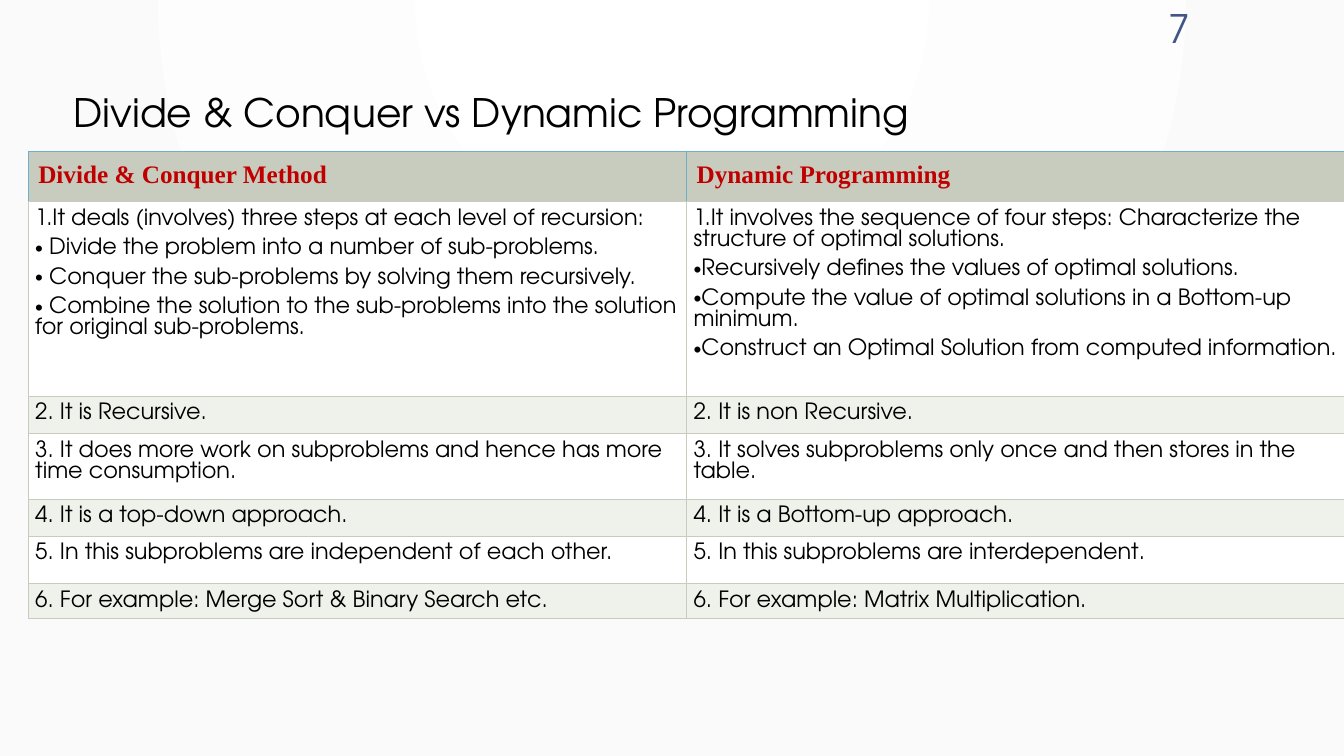
from lxml.etree import SubElement
from pptx import Presentation
from pptx.dml.color import RGBColor
from pptx.enum.text import MSO_ANCHOR as Anchor, PP_ALIGN as Align
from pptx.oxml.ns import qn
from pptx.util import Inches, Pt

COLORS = {
    "center": "FFFFFF", "edge": "FAFAFA", "text": "000000", "number": "415588",
    "heading": "C00000", "header": "C7CCBE", "header_line": "70AFC9",
    "line": "C7CCBE", "plain": "FFFFFF", "band": "EFF1EB",
}
BODY_FONT, HEADING_FONT = "TeX Gyre Adventor", "Times New Roman"
HEADINGS = ("Divide & Conquer Method", "Dynamic Programming")
# One tuple per row; each cell is a list of paragraphs, bulleted after the first.
COMPARISON = [
    (["1.It deals (involves) three steps at each level of recursion:",
      " Divide the problem into a number of sub-problems.",
      " Conquer the sub-problems by solving them recursively.",
      " Combine the solution to the sub-problems into the solution for original sub-problems."],
     ["1.It involves the sequence of four steps: Characterize the structure of optimal solutions.",
      "Recursively defines the values of optimal solutions.",
      "Compute the value of optimal solutions in a Bottom-up minimum.",
      "Construct an Optimal Solution from computed information."]),
    (["2. It is Recursive."], ["2. It is non Recursive."]),
    (["3. It does more work on subproblems and hence has more time consumption."],
     ["3. It solves subproblems only once and then stores in the table."]),
    (["4. It is a top-down approach."], ["4. It is a Bottom-up approach."]),
    (["5. In this subproblems are independent of each other."],
     ["5. In this subproblems are interdependent."]),
    (["6. For example: Merge Sort & Binary Search etc."],
     ["6. For example: Matrix Multiplication."]),
]
ROW_HEIGHTS = (0.49, 1.93, 0.37, 0.65, 0.37, 0.47, 0.35)


def color(name):
    return RGBColor.from_string(COLORS[name])


def set_font(paragraph, name, size, color_name, bold=False):
    font = paragraph.font
    font.name, font.size, font.bold = name, Pt(size), bold
    font.color.rgb = color(color_name)


def paint_background(slide):
    """Fill the slide with a soft glow centred on its top edge."""
    fill = slide.background.fill
    fill.gradient()
    for stop, name in zip(fill.gradient_stops, ("center", "edge")):
        stop.color.rgb = color(name)
    gradient = next(slide.element.iter(qn("a:gradFill")))
    for linear in gradient.findall(qn("a:lin")):
        gradient.remove(linear)
    glow = SubElement(gradient, qn("a:path"), {"path": "circle"})
    SubElement(glow, qn("a:fillToRect"),
               {"l": "43000", "t": "0", "r": "43000", "b": "100000"})


def place_title(slide, left, top, width, height):
    title = slide.shapes.title
    title.left, title.top = Inches(left), Inches(top)
    title.width, title.height = Inches(width), Inches(height)
    frame = title.text_frame
    frame.text = "Divide & Conquer vs Dynamic Programming"
    frame.vertical_anchor = Anchor.TOP
    paragraph = frame.paragraphs[0]
    paragraph.alignment = Align.LEFT
    paragraph.line_spacing = 0.9
    set_font(paragraph, BODY_FONT, 28, "text")


def add_page_number(slide, left, top, width, height):
    box = slide.shapes.add_textbox(*map(Inches, (left, top, width, height)))
    frame = box.text_frame
    frame.word_wrap = True
    frame.vertical_anchor = Anchor.MIDDLE
    frame.text = "7"
    paragraph = frame.paragraphs[0]
    paragraph.alignment = Align.RIGHT
    set_font(paragraph, BODY_FONT, 28, "number")


def format_cell(cell, inset, fill_name, side_line):
    """Set insets, borders and fill; the bottom border is always the plain line."""
    cell.margin_left = cell.margin_right = Inches(inset)
    cell.margin_top = cell.margin_bottom = Inches(inset)
    properties = cell._tc.get_or_add_tcPr()
    borders = {"lnL": side_line, "lnR": side_line, "lnT": side_line, "lnB": "line"}
    for tag, name in borders.items():
        border = SubElement(properties, qn(f"a:{tag}"), {"w": str(Pt(0.75))})
        solid = SubElement(border, qn("a:solidFill"))
        SubElement(solid, qn("a:srgbClr"), {"val": COLORS[name]})
    cell.fill.solid()
    cell.fill.fore_color.rgb = color(fill_name)


def write_points(cell, points):
    frame = cell.text_frame
    frame.text = "\n".join(points)
    for index, paragraph in enumerate(frame.paragraphs):
        paragraph.line_spacing = Pt(15)
        paragraph.space_after = Pt(6)
        set_font(paragraph, BODY_FONT, 16, "text")
        if index:
            properties = paragraph._p.get_or_add_pPr()
            properties.set("marL", "0")
            properties.set("indent", "0")
            SubElement(properties, qn("a:buFont"), {"typeface": "Arial"})
            SubElement(properties, qn("a:buChar"), {"char": "•"})
            # Default run properties must follow the bullet in the schema.
            properties.append(properties.find(qn("a:defRPr")))


def add_comparison(slide, left, top, width):
    frame = slide.shapes.add_table(
        len(ROW_HEIGHTS), len(HEADINGS), Inches(left), Inches(top),
        Inches(width), Inches(sum(ROW_HEIGHTS)))
    table = frame.table
    table.first_row = table.horz_banding = False
    for row, height in zip(table.rows, ROW_HEIGHTS):
        row.height = Inches(height)
    for column, heading in enumerate(HEADINGS):
        cell = table.cell(0, column)
        format_cell(cell, 0.1, "header", "header_line")
        cell.text_frame.text = heading
        set_font(cell.text_frame.paragraphs[0], HEADING_FONT, 18, "heading", bold=True)
    for row, contents in enumerate(COMPARISON, start=1):
        for column, points in enumerate(contents):
            cell = table.cell(row, column)
            format_cell(cell, 0.07, "plain" if row % 2 else "band", "line")
            write_points(cell, points)


def main():
    presentation = Presentation()
    presentation.slide_width, presentation.slide_height = Inches(13.33), Inches(7.5)
    slide = presentation.slides.add_slide(presentation.slide_layouts[5])
    paint_background(slide)
    add_page_number(slide, 11.01, 0, 0.89, 0.55)
    add_comparison(slide, 0.28, 1.5, 13.06)
    place_title(slide, 0.63, 0.88, 12.07, 1.15)
    presentation.save("out.pptx")


if __name__ == "__main__":
    main()
